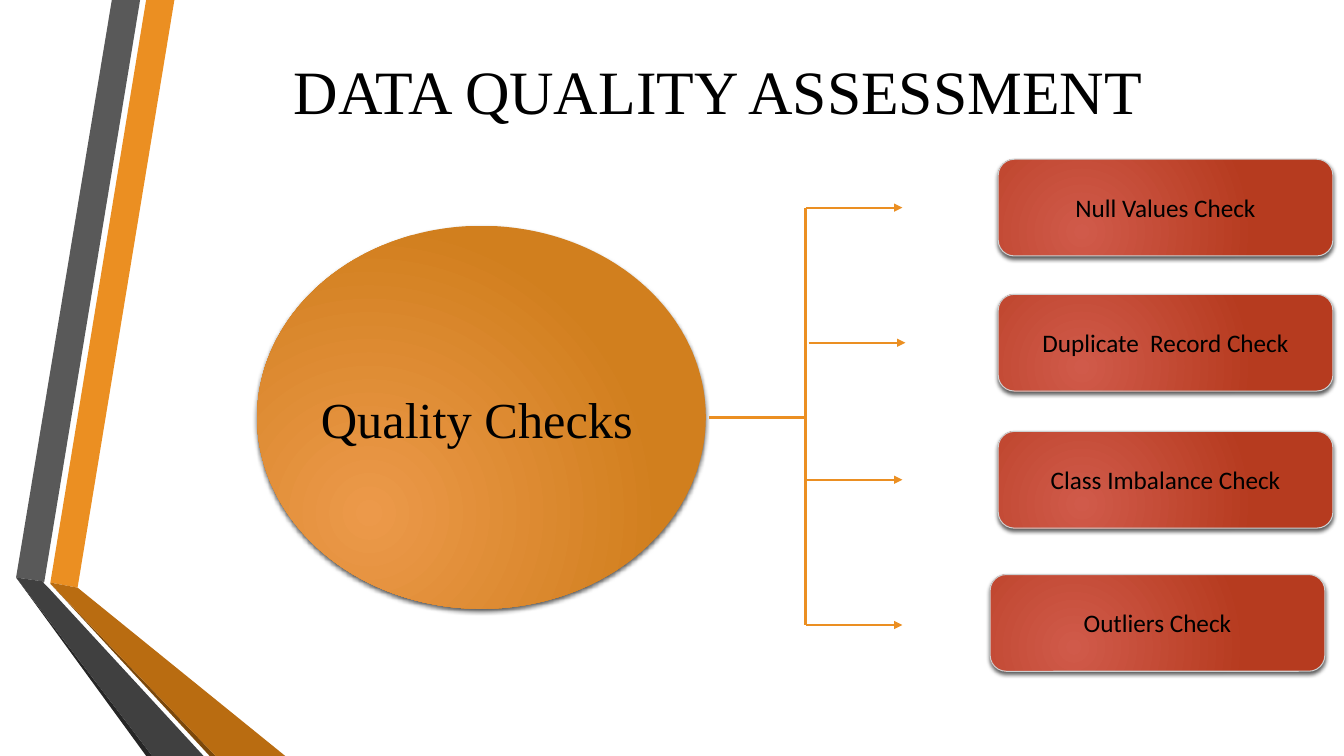
from lxml import etree
from pptx import Presentation
from pptx.dml.color import RGBColor
from pptx.enum.shapes import MSO_CONNECTOR, MSO_SHAPE
from pptx.enum.text import MSO_ANCHOR, PP_ALIGN
from pptx.oxml.ns import qn
from pptx.util import Pt

PX = 9144
STRAIGHT = MSO_CONNECTOR.STRAIGHT
OVAL = MSO_SHAPE.OVAL
ROUNDED = MSO_SHAPE.ROUNDED_RECTANGLE
CENTER = PP_ALIGN.CENTER
TOP = MSO_ANCHOR.TOP
MIDDLE = MSO_ANCHOR.MIDDLE

BANDS = [
    ("EB8F22", [(50, 578), (77, 583), (173, 0), (145, 0)]),
    ("595959", [(139, 0), (111, 0), (16, 573), (44, 577)]),
    ("262626", [(16, 573), (145, 750), (151, 750)]),
    ("7B480B", [(50, 579), (208, 750), (214, 750)]),
    ("B96C11", [(50, 579), (214, 750), (283, 750), (77, 583), (50, 578)]),
    ("404040", [(202, 750), (48, 583), (43, 578), (44, 577), (16, 573), (151, 750)]),
]
CHECKS = [
    ("Null Values Check", 990, 158, 799, 206),
    ("Duplicate  Record Check", 990, 292, 802, 340),
    ("Class Imbalance Check", 990, 428, 799, 476),
    ("Outliers Check", 982, 570, 799, 620),
]


def rgb(color):
    return RGBColor.from_string(color)


def px(*lengths):
    return [length * PX for length in lengths]


class QualitySlide:
    accent = "EB8F22"
    ink = "000000"
    border = "CDD0D1"
    heading_font = "Times New Roman"
    label_font = "Calibri"

    def __init__(self, deck):
        self.shapes = deck.slides.add_slide(deck.slide_layouts[6]).shapes

    def band(self, color, corners):
        builder = self.shapes.build_freeform(*corners[0], scale=PX)
        builder.add_line_segments(corners[1:], close=True)
        band = builder.convert_to_shape()
        band.shadow.inherit = False
        band.fill.solid()
        band.fill.fore_color.rgb = rgb(color)
        band.line.fill.background()

    def label(self, frame, text, size, font, anchor):
        frame.word_wrap = True
        frame.vertical_anchor = anchor
        paragraph = frame.paragraphs[0]
        paragraph.alignment = CENTER
        run = paragraph.add_run()
        run.text = text
        for name, value in {"size": Pt(size), "name": font}.items():
            setattr(run.font, name, value)
        run.font.color.rgb = rgb(self.ink)

    def heading(self, text, size, *box):
        frame = self.shapes.add_textbox(*px(*box)).text_frame
        frame.margin_top = 10 * PX
        self.label(frame, text, size, self.heading_font, TOP)

    def glossy(self, preset, colors, *box):
        body = self.shapes.add_shape(preset, *px(*box))
        body.fill.gradient()
        for stop, color in zip(body.fill.gradient_stops, colors):
            stop.color.rgb = rgb(color)
        properties = body._element.spPr
        gradient = properties.find(qn("a:gradFill"))
        gradient.remove(gradient.find(qn("a:lin")))
        spread = etree.SubElement(gradient, qn("a:path"), path="circle")
        etree.SubElement(spread, qn("a:fillToRect"),
                         l="50000", t="100000", r="100000", b="50000")
        body.line.fill.background()
        body.shadow.inherit = False
        shadow = etree.SubElement(
            properties.find(qn("a:effectLst")), qn("a:outerShdw"),
            blurRad=str(Pt(3)), dist=str(Pt(2)), dir="5400000", rotWithShape="0")
        tint = etree.SubElement(shadow, qn("a:srgbClr"), val=self.ink)
        etree.SubElement(tint, qn("a:alpha"), val="64000")
        return body

    def check(self, text, left, top):
        card = self.glossy(ROUNDED, ("D05A4A", "B63B1F"), left, top, 332, 96)
        card.line.color.rgb = rgb(self.border)
        card.line.width = Pt(0.75)
        self.label(card.text_frame, text, 18, self.label_font, MIDDLE)

    def connect(self, *ends, width=1.75, arrow=False):
        link = self.shapes.add_connector(STRAIGHT, *px(*ends))
        link.line.color.rgb = rgb(self.accent)
        link.line.width = Pt(width)
        properties = link._element.spPr
        if arrow:
            etree.SubElement(properties.find(qn("a:ln")), qn("a:tailEnd"), type="triangle")
        etree.SubElement(properties, qn("a:effectLst"))


def main():
    deck = Presentation()
    deck.slide_width, deck.slide_height = px(1333, 750)
    slide = QualitySlide(deck)
    for color, corners in BANDS:
        slide.band(color, corners)
    slide.glossy(OVAL, ("EC994A", "D17F1E"), 255, 224, 445, 380)
    slide.heading("DATA QUALITY ASSESSMENT ", 44, 270, 43, 899, 114)
    for text, left, top, _, _ in CHECKS:
        slide.check(text, left, top)
    slide.connect(703, 414, 799, 414)
    slide.connect(799, 428, 799, 206)
    slide.connect(799, 620, 799, 428)
    for _, _, _, start, level in CHECKS:
        slide.connect(start, level, start + 96, level, width=1.25, arrow=True)
    slide.heading("Quality Checks", 36, 292, 375, 362, 71)
    deck.save("out.pptx")


if __name__ == "__main__":
    main()
